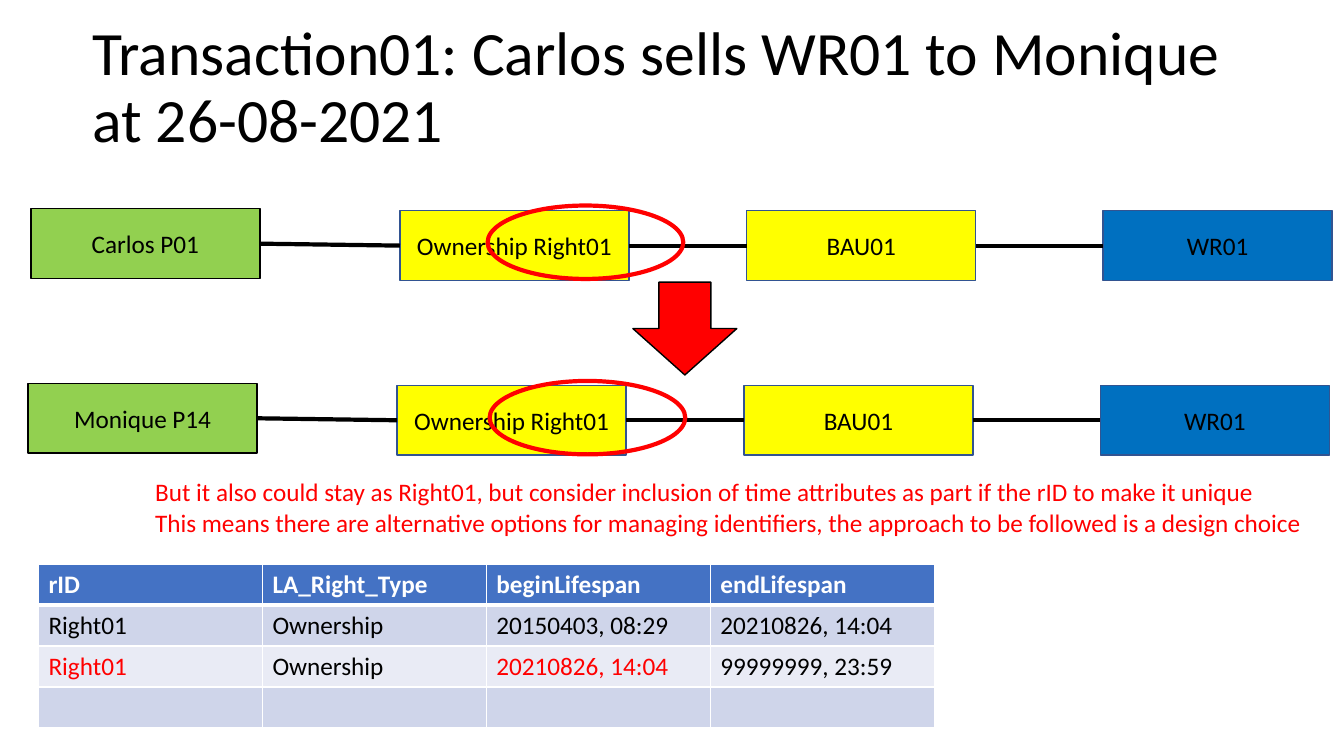
from lxml import etree
from pptx import Presentation
from pptx.dml.color import RGBColor
from pptx.enum.shapes import MSO_CONNECTOR, MSO_SHAPE
from pptx.enum.text import MSO_ANCHOR, MSO_AUTO_SIZE, PP_ALIGN
from pptx.oxml.ns import qn
from pptx.util import Cm, Pt

RECTANGLE = MSO_SHAPE.RECTANGLE
ELLIPSE = MSO_SHAPE.OVAL
DOWN_ARROW = MSO_SHAPE.DOWN_ARROW
STRAIGHT = MSO_CONNECTOR.STRAIGHT
MIDDLE = MSO_ANCHOR.MIDDLE
CENTER = PP_ALIGN.CENTER
LEFT_SIDE, RIGHT_SIDE = 1, 3

BLACK, WHITE, RED = "000000", "FFFFFF", "FF0000"
YELLOW, GREEN, BLUE, OUTLINE = "FFFF00", "92D050", "0070C0", "325491"
HEADER_FILL, BAND_FILLS = "4472C4", ("CFD5EA", "E9EBF5")

BOX_WIDTH, BOX_HEIGHT = 5.77, 1.76


def color(value):
    return RGBColor.from_string(value)


def add_run(paragraph, text, size=18, font_color=BLACK, bold=False):
    run = paragraph.add_run()
    run.text = text
    run.font.name = "Calibri"
    run.font.size = Pt(size)
    run.font.bold = bold
    run.font.color.rgb = color(font_color)


def add_figure(slide, kind, left, top, width, height, fill, line, line_width=1):
    shape = slide.shapes.add_shape(kind, Cm(left), Cm(top), Cm(width), Cm(height))
    shape.shadow.inherit = False
    if fill:
        shape.fill.solid()
        shape.fill.fore_color.rgb = color(fill)
    else:
        shape.fill.background()
    shape.line.color.rgb = color(line)
    shape.line.width = Pt(line_width)
    return shape


def join(slide, start, end):
    connector = slide.shapes.add_connector(STRAIGHT, 0, 0, 0, 0)
    connector.begin_connect(start, RIGHT_SIDE)
    connector.end_connect(end, LEFT_SIDE)
    connector.line.color.rgb = color(BLACK)
    connector.line.width = Pt(3)
    etree.SubElement(connector.element.spPr, qn("a:effectLst"))


def add_chain(slide, left, top, party):
    nodes = (
        (party, 0, 0, GREEN, BLACK),
        ("Ownership Right01", 9.3, 0.05, YELLOW, OUTLINE),
        ("BAU01", 18.04, 0.05, YELLOW, OUTLINE),
        ("WR01", 27.02, 0.05, BLUE, OUTLINE),
    )
    boxes = []
    for text, across, down, fill, line in nodes:
        box = add_figure(slide, RECTANGLE, left + across, top + down,
                         BOX_WIDTH, BOX_HEIGHT, fill, line)
        box.text_frame.word_wrap = True
        box.text_frame.vertical_anchor = MIDDLE
        paragraph = box.text_frame.paragraphs[0]
        paragraph.alignment = CENTER
        add_run(paragraph, text)
        boxes.append(box)
    for start, end in zip(boxes, boxes[1:]):
        join(slide, start, end)


def add_title(slide, left, top, width, height):
    frame = slide.shapes.add_textbox(Cm(left), Cm(top), Cm(width), Cm(height)).text_frame
    frame.word_wrap = True
    frame.vertical_anchor = MIDDLE
    paragraph = frame.paragraphs[0]
    paragraph.line_spacing = 0.9
    add_run(paragraph, "Transaction01: Carlos sells WR01 to Monique at 26-08-2021", 44)


def add_remarks(slide, left, top, width, height):
    frame = slide.shapes.add_textbox(Cm(left), Cm(top), Cm(width), Cm(height)).text_frame
    frame.word_wrap = False
    frame.auto_size = MSO_AUTO_SIZE.SHAPE_TO_FIT_TEXT
    add_run(frame.paragraphs[0],
            "But it also could stay as Right01, but consider inclusion of time "
            "attributes as part if the rID to make it unique", font_color=RED)
    add_run(frame.add_paragraph(),
            "This means there are alternative options for managing identifiers, "
            "the approach to be followed is a design choice", font_color=RED)


def set_borders(cell, top_width, bottom_width):
    properties = cell._tc.get_or_add_tcPr()
    widths = (("L", 1), ("R", 1), ("T", top_width), ("B", bottom_width))
    for index, (side, width) in enumerate(widths):
        line = etree.Element(qn("a:ln" + side), w=str(Pt(width)))
        fill = etree.SubElement(line, qn("a:solidFill"))
        etree.SubElement(fill, qn("a:srgbClr"), val=WHITE)
        properties.insert(index, line)


def add_rights_table(slide, left, top, width, height):
    rows = (
        ("rID", "LA_Right_Type", "beginLifespan", "endLifespan"),
        ("Right01", "Ownership", "20150403, 08:29", "20210826, 14:04"),
        ("Right01", "Ownership", "20210826, 14:04", "99999999, 23:59"),
        ("", "", "", ""),
    )
    changed_cells = {(2, 0), (2, 2)}
    table = slide.shapes.add_table(len(rows), len(rows[0]), Cm(left), Cm(top),
                                   Cm(width), Cm(height)).table
    for row, texts in enumerate(rows):
        header = row == 0
        for column, text in enumerate(texts):
            cell = table.cell(row, column)
            cell.fill.solid()
            cell.fill.fore_color.rgb = color(HEADER_FILL if header else BAND_FILLS[(row - 1) % 2])
            set_borders(cell, 3 if row == 1 else 1, 3 if header else 1)
            font_color = WHITE if header else RED if (row, column) in changed_cells else BLACK
            if text:
                add_run(cell.text_frame.paragraphs[0], text, font_color=font_color, bold=header)


def main():
    presentation = Presentation()
    presentation.slide_width = Cm(33.87)
    presentation.slide_height = Cm(19.05)
    slide = presentation.slides.add_slide(presentation.slide_layouts[6])
    add_chain(slide, 0.78, 5.26, "Carlos P01")
    add_chain(slide, 0.71, 9.66, "Monique P14")
    add_figure(slide, DOWN_ARROW, 15.95, 7.11, 2.62, 2.34, RED, BLACK)
    add_title(slide, 2.08, 0.41, 29.21, 3.68)
    add_remarks(slide, 3.66, 11.89, 29.62, 1.8)
    add_rights_table(slide, 0.97, 14.22, 22.58, 4.12)
    for left, top in ((12.34, 9.6), (12.29, 5.18)):
        add_figure(slide, ELLIPSE, left, top, 4.93, 1.85, None, RED, 3)
    presentation.save("out.pptx")


if __name__ == "__main__":
    main()
